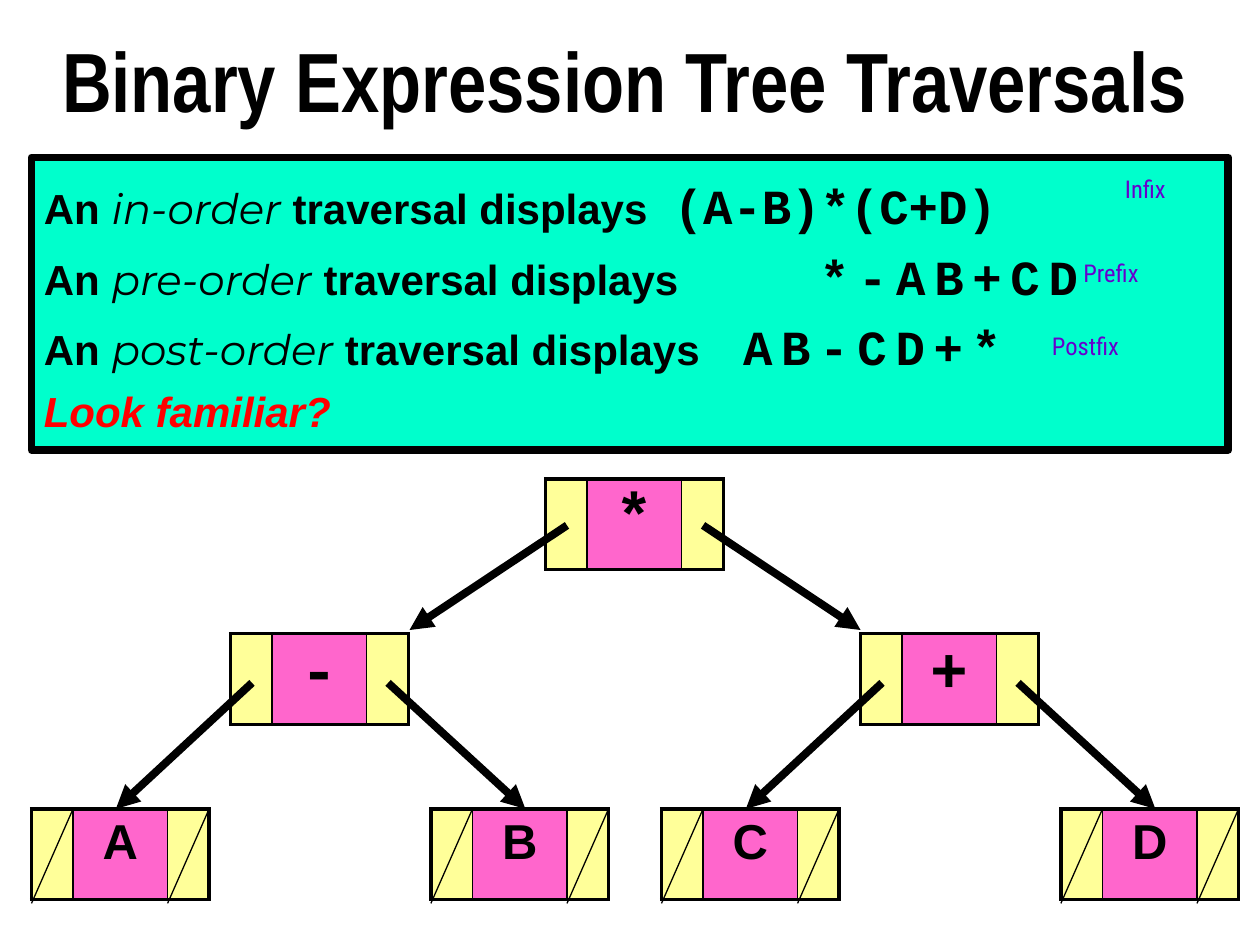
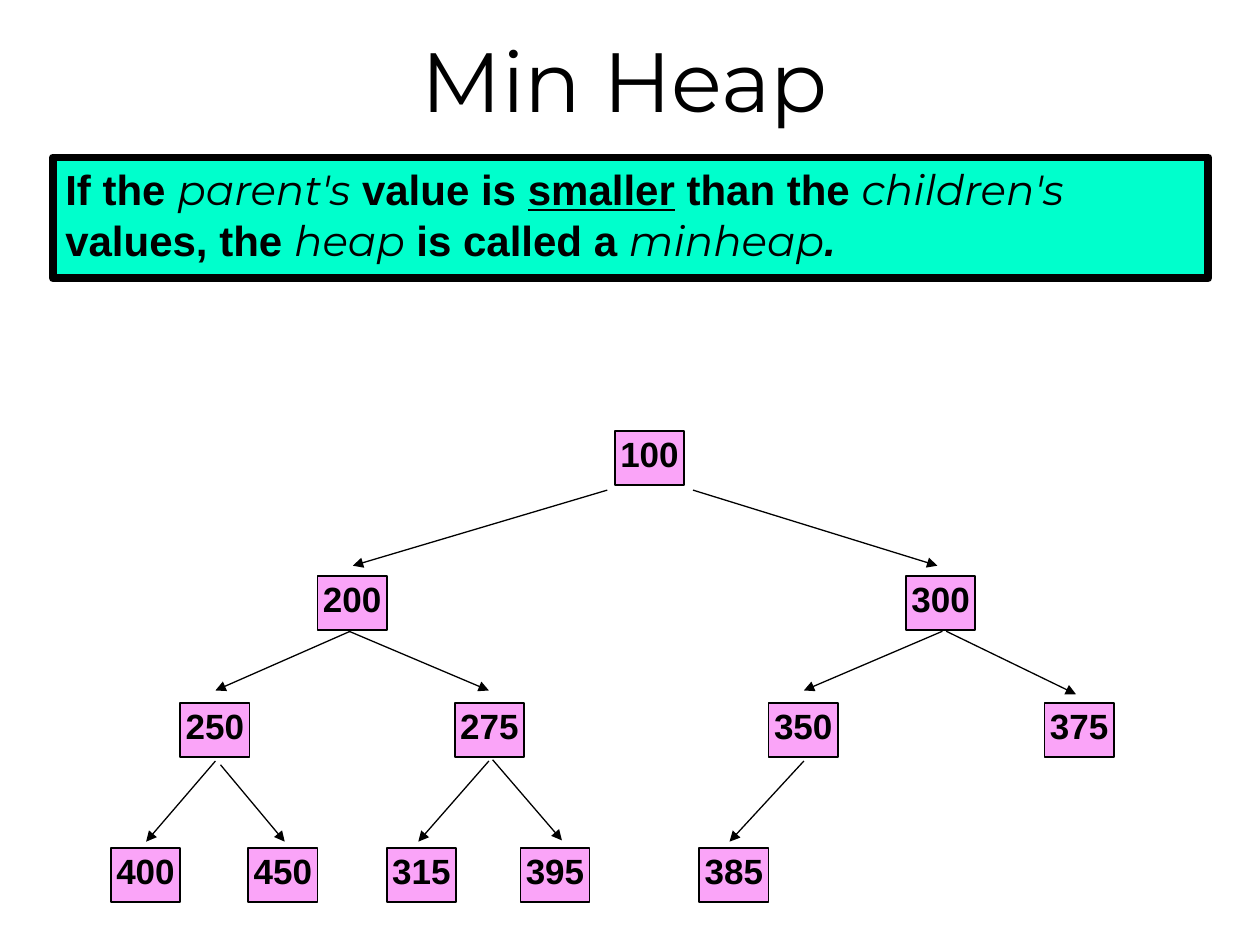
import pptx
import pptx.dml.color
import pptx.enum.shapes
import pptx.enum.text
import pptx.oxml
import pptx.oxml.ns
import pptx.util
from pptx.util import Inches

RGBColor = pptx.dml.color.RGBColor
ANCHOR = pptx.enum.text.MSO_ANCHOR
CENTER = pptx.enum.text.PP_ALIGN.CENTER

BLACK = RGBColor(0x00, 0x00, 0x00)
RED = RGBColor(0xFF, 0x00, 0x00)
AQUA = RGBColor(0x00, 0xFF, 0xCC)
YELLOW = RGBColor(0xFF, 0xFF, 0x99)
PINK = RGBColor(0xFF, 0x66, 0xCC)
ORCHID = RGBColor(0xFA, 0xA4, 0xF8)
PURPLE = RGBColor(0x66, 0x00, 0xCC)
MAGENTA = RGBColor(0xCC, 0x00, 0xCC)

PLAIN = dict(name="Arial", size=24, bold=True)
UNDERLINED = dict(PLAIN, underline=True)
ITALIC = dict(PLAIN, italic=True)
WARNING = dict(ITALIC, color=RED)
TERM = dict(name="Montserrat", size=24, italic=True)
CODE = dict(name="Courier New", size=28, bold=True)
GAP = dict(name="Arial", size=18)
OPERATOR = dict(CODE, size=36)
LEAF = dict(PLAIN, size=28)
HEAP_VALUE = dict(PLAIN, size=20)
LABEL = dict(name="Roboto Condensed", size=14)

TITLE_SIZE = 48
THICK, MEDIUM, THIN, HAIR = 4.5, 2.25, 1, 0.75
CELL_WIDTHS = (0.33, 0.75, 0.33)
CELL_HEIGHT = 0.72
HEAP_W, HEAP_H = 0.55, 0.43


class Deck:
    def __init__(self):
        self.prs = pptx.Presentation()
        self.prs.slide_width = Inches(10)
        self.prs.slide_height = Inches(7.5)
        self.s = None

    def font(self, font, name, size, bold=False, italic=False,
             underline=False, color=BLACK):
        font.name = name
        font.size = pptx.util.Pt(size)
        font.bold = bold
        font.italic = italic
        font.underline = underline
        font.color.rgb = color

    def slide(self, title, **style):
        self.s = self.prs.slides.add_slide(self.prs.slide_layouts[5])
        sp = self.s.shapes.title
        sp.left, sp.top, sp.width, sp.height = map(Inches, (0, 0, 9.92, 1.25))
        tf = sp.text_frame
        tf.text = title
        tf.auto_size = pptx.enum.text.MSO_AUTO_SIZE.NONE
        tf.vertical_anchor = ANCHOR.MIDDLE
        p = tf.paragraphs[0]
        p.alignment = CENTER
        self.font(p.runs[0].font, size=TITLE_SIZE, **style)

    def rect(self, x, y, w, h, fill, line):
        sp = self.s.shapes.add_shape(
            pptx.enum.shapes.MSO_SHAPE.RECTANGLE, *map(Inches, (x, y, w, h)))
        sp.shadow.inherit = False
        sp.fill.solid()
        sp.fill.fore_color.rgb = fill
        sp.line.color.rgb = BLACK
        sp.line.width = pptx.util.Pt(line)
        tf = sp.text_frame
        tf.word_wrap = True
        tf.vertical_anchor = ANCHOR.TOP
        return tf

    def panel(self, x, y, w, h, lines, spacing=1.0):
        tf = self.rect(x, y, w, h, AQUA, THICK)
        for i, (pieces, tab) in enumerate(lines):
            p = tf.add_paragraph() if i else tf.paragraphs[0]
            if tab:
                self.tab_stop(p, tab)
            p.alignment = pptx.enum.text.PP_ALIGN.LEFT
            p.line_spacing = spacing
            for text, style in pieces:
                r = p.add_run()
                r.text = text
                self.font(r.font, **style)

    def tab_stop(self, p, pos):
        tabs = pptx.oxml.parse_xml(
            f'<a:tabLst {pptx.oxml.ns.nsdecls("a")}>'
            f'<a:tab pos="{Inches(pos)}" algn="l"/></a:tabLst>')
        p._p.get_or_add_pPr().append(tabs)

    def heap_node(self, x, y, value):
        tf = self.rect(x, y, HEAP_W, HEAP_H, ORCHID, THIN)
        tf.margin_left = tf.margin_right = Inches(0.01)
        tf.margin_top = tf.margin_bottom = Inches(0.01)
        tf.text = str(value)
        p = tf.paragraphs[0]
        p.alignment = CENTER
        self.font(p.runs[0].font, **HEAP_VALUE)

    def linked_node(self, x, y, text, style):
        frame = self.s.shapes.add_table(
            1, 3, *map(Inches, (x, y, sum(CELL_WIDTHS), CELL_HEIGHT)))
        table = frame.table
        table.first_row = table.horz_banding = False
        table.rows[0].height = Inches(CELL_HEIGHT)
        for i, width in enumerate(CELL_WIDTHS):
            table.columns[i].width = Inches(width)
            cell = table.cell(0, i)
            self.borders(cell, L=THIN if i else MEDIUM,
                         R=THIN if i < 2 else MEDIUM, T=MEDIUM, B=MEDIUM)
            cell.fill.solid()
            cell.fill.fore_color.rgb = PINK if i == 1 else YELLOW
        cell = table.cell(0, 1)
        cell.text = text
        p = cell.text_frame.paragraphs[0]
        p.alignment = CENTER
        self.font(p.runs[0].font, **style)

    def borders(self, cell, **widths):
        tcPr = cell._tc.get_or_add_tcPr()
        for side, width in widths.items():
            tcPr.append(pptx.oxml.parse_xml(
                f'<a:ln{side} {pptx.oxml.ns.nsdecls("a")} w="{pptx.util.Pt(width)}">'
                f'<a:solidFill><a:srgbClr val="{BLACK}"/></a:solidFill></a:ln{side}>'))

    def line(self, start, end, width=HAIR, arrow=True):
        cx = self.s.shapes.add_connector(
            pptx.enum.shapes.MSO_CONNECTOR.STRAIGHT, *map(Inches, (*start, *end)))
        cx.line.color.rgb = BLACK
        cx.line.width = pptx.util.Pt(width)
        ns = pptx.oxml.ns.nsdecls("a")
        if arrow:
            cx.line._get_or_add_ln().append(
                pptx.oxml.parse_xml(f'<a:tailEnd {ns} type="triangle"/>'))
        cx._element.spPr.append(pptx.oxml.parse_xml(f'<a:effectLst {ns}/>'))

    def label(self, x, y, w, text):
        sp = self.s.shapes.add_textbox(*map(Inches, (x, y, w, 0.46)))
        tf = sp.text_frame
        tf.word_wrap = True
        tf.text = text
        font = tf.paragraphs[0].runs[0].font
        self.font(font, **LABEL)
        font.fill.gradient()
        font.fill.gradient_angle = 270
        for stop, color in zip(font.fill.gradient_stops, (PURPLE, MAGENTA)):
            stop.color.rgb = color


def spaced(symbols):
    pieces = []
    for symbol in symbols:
        pieces += [(" ", GAP), (symbol, CODE)]
    return pieces[1:]


def traversals(deck):
    deck.slide("Binary Expression Tree Traversals", name="Arial Narrow", bold=True)

    displays = (("in-order", [("(A-B)*(C+D)", CODE)], 5),
                ("pre-order", spaced("*-AB+CD"), 6.16),
                ("post-order", spaced("AB-CD+*"), 5.55))
    lines = [([("An ", PLAIN), (order, TERM), (" traversal displays\t", PLAIN),
               *expression], tab) for order, expression, tab in displays]
    lines.append(([("Look familiar?", WARNING)], None))
    deck.panel(0.25, 1.25, 9.5, 2.32, lines, spacing=1.2)

    leaf_y = 6.42
    operators = (("*", 4.33, 3.8, 4.17, (3.25, 5), (6.83, 5)),
                 ("-", 1.83, 5.03, 5.42, (0.92, leaf_y), (4.17, leaf_y)),
                 ("+", 6.83, 5.03, 5.42, (5.92, leaf_y), (9.17, leaf_y)))
    leaves = (("A", 0.25), ("B", 3.42), ("C", 5.25), ("D", 8.42))
    for text, x, y, *_ in operators:
        deck.linked_node(x, y, text, OPERATOR)
    for text, x in leaves:
        deck.linked_node(x, leaf_y, text, LEAF)
    for _, x, _, link_y, left, right in operators:
        deck.line((x + 0.17, link_y), left, THICK)
        deck.line((x + 1.25, link_y), right, THICK)
    for _, x in leaves:
        for cell_x in (x, x + 1.08):
            deck.line((cell_x + 0.33, leaf_y), (cell_x, 7.17), arrow=False)

    deck.label(8.5, 2, 1.42, "Prefix")
    deck.label(8.83, 1.33, 1.08, "Infix")
    deck.label(8.25, 2.58, 1.67, "Postfix")


def min_heap(deck):
    deck.slide("Min Heap", name="Montserrat")
    deck.panel(0.42, 1.25, 9.17, 0.96, [([
        ("If the ", PLAIN), ("parent's", TERM), (" value is ", PLAIN),
        ("smaller", UNDERLINED), (" than the ", PLAIN), ("children's", TERM),
        (" values, the ", PLAIN), ("heap", TERM), (" is called a ", PLAIN),
        ("minheap", TERM), (".", ITALIC)], None)])

    levels = ((3.42, ((4.88, 100),)),
              (4.57, ((2.52, 200), (7.19, 300))),
              (5.58, ((1.43, 250), (3.61, 275), (6.1, 350), (8.29, 375))),
              (6.73, ((0.88, 400), (1.97, 450), (3.07, 315), (4.13, 395),
                      (5.55, 385))))
    for y, nodes in levels:
        for x, value in nodes:
            deck.heap_node(x, y, value)

    edges = (((4.82, 3.89), (2.8, 4.49)), ((5.5, 3.89), (7.44, 4.49)),
             ((2.78, 5.01), (1.71, 5.48)), ((2.77, 5.01), (3.88, 5.48)),
             ((7.48, 5.01), (6.38, 5.48)), ((7.51, 5.01), (8.54, 5.51)),
             ((1.71, 6.04), (1.16, 6.68)), ((1.75, 6.07), (2.26, 6.68)),
             ((3.88, 6.04), (3.32, 6.68)), ((3.91, 6.03), (4.46, 6.67)),
             ((6.38, 6.04), (5.79, 6.68)))
    for start, end in edges:
        deck.line(start, end)


def main():
    deck = Deck()
    traversals(deck)
    min_heap(deck)
    deck.prs.save("out.pptx")


if __name__ == "__main__":
    main()
